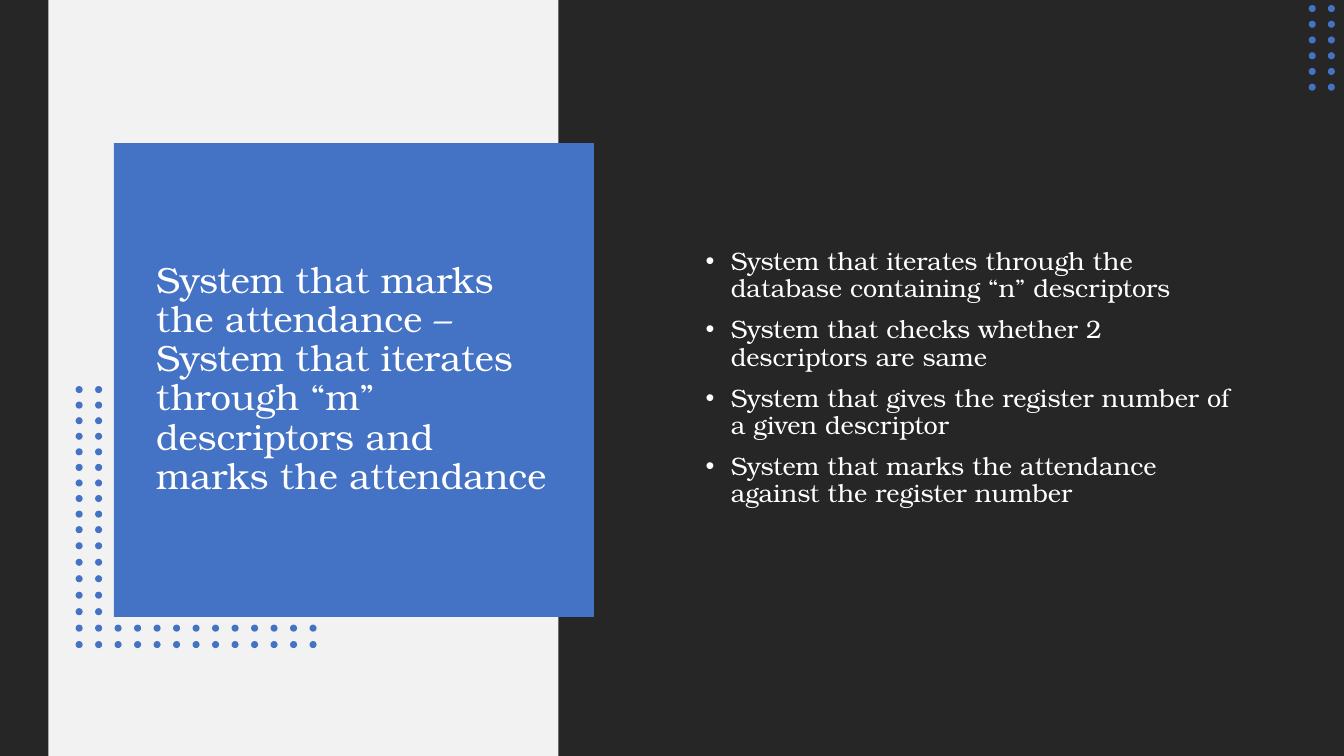
from lxml import etree
from pptx import Presentation
from pptx.dml.color import RGBColor
from pptx.enum.shapes import MSO_SHAPE
from pptx.enum.text import MSO_ANCHOR
from pptx.oxml.ns import qn
from pptx.util import Inches, Pt

RECT = MSO_SHAPE.RECTANGLE
OVAL = MSO_SHAPE.OVAL
MIDDLE = MSO_ANCHOR.MIDDLE

TITLE = ("System that marks the attendance – \n"
         "System that iterates through “m” descriptors and marks the attendance")
POINTS = [
    "System that iterates through the database containing “n” descriptors",
    "System that checks whether 2 descriptors are same",
    "System that gives the register number of a given descriptor",
    "System that marks the attendance against the register number",
]


def rgb(value):
    return RGBColor.from_string(value)


def spread(first, last, count):
    return [first + (last - first) * i / (count - 1) for i in range(count)]


def write(p, text, size=18, font="TeX Gyre Bonum", color="FFFFFF",
          before=0, bullet=False):
    p.line_spacing = 0.9
    p.space_before = Pt(before)
    if bullet:
        pPr = p._p.get_or_add_pPr()
        pPr.set("marL", str(Inches(0.25)))
        pPr.set("indent", str(-Inches(0.25)))
        etree.SubElement(pPr, qn("a:buFont")).set("typeface", "Arial")
        etree.SubElement(pPr, qn("a:buChar")).set("char", "•")
    for i, line in enumerate(text.split("\n")):
        if i:
            p.add_line_break()
        r = p.add_run()
        r.text = line
        r.font.size = Pt(size)
        r.font.name = font
        r.font.color.rgb = rgb(color)


class Deck:
    dark, light, accent = "262626", "F2F2F2", "4472C4"
    dot = 0.07

    def __init__(self):
        self.prs = Presentation()
        self.prs.slide_width = Inches(13.33)
        self.prs.slide_height = Inches(7.5)
        self.s = self.prs.slides.add_slide(self.prs.slide_layouts[6])

    def shape(self, x, y, w, h, color, kind=RECT, parent=None):
        shapes = (parent or self.s).shapes
        sp = shapes.add_shape(kind, Inches(x), Inches(y), Inches(w), Inches(h))
        sp.shadow.inherit = False
        sp.fill.solid()
        sp.fill.fore_color.rgb = rgb(color)
        sp.line.fill.background()

    def dots(self, centers):
        group = self.s.shapes.add_group_shape()
        for x, y in centers:
            self.shape(x, y, self.dot, self.dot, self.accent, OVAL, group)

    def text(self, x, y, w, h, paragraphs, **style):
        sp = self.s.shapes.add_textbox(Inches(x), Inches(y), Inches(w), Inches(h))
        tf = sp.text_frame
        tf.word_wrap = True
        tf.vertical_anchor = MIDDLE
        for i, text in enumerate(paragraphs):
            p = tf.add_paragraph() if i else tf.paragraphs[0]
            write(p, text, **style)


def main():
    deck = Deck()
    deck.shape(0, 0, 13.33, 7.5, deck.dark)
    deck.shape(0.48, 0, 5.06, 7.5, deck.light)
    deck.shape(1.13, 1.42, 4.76, 4.7, deck.accent)
    deck.text(1.45, 1.74, 4.1, 4.05, [TITLE], size=26)

    deck.dots([(x, y) for x in (12.98, 13.17) for y in spread(0.05, 0.83, 6)])

    columns = spread(0.75, 3.07, 13)
    rows = spread(3.83, 5.22, 10) + spread(5.38, 6.36, 7)
    deck.dots([(x, y) for j, y in enumerate(rows) for i, x in enumerate(columns)
               if i < 2 or j >= len(rows) - 2])

    deck.text(6.9, 1.27, 5.47, 4.97, POINTS, before=10, bullet=True)
    deck.prs.save("out.pptx")


if __name__ == "__main__":
    main()
